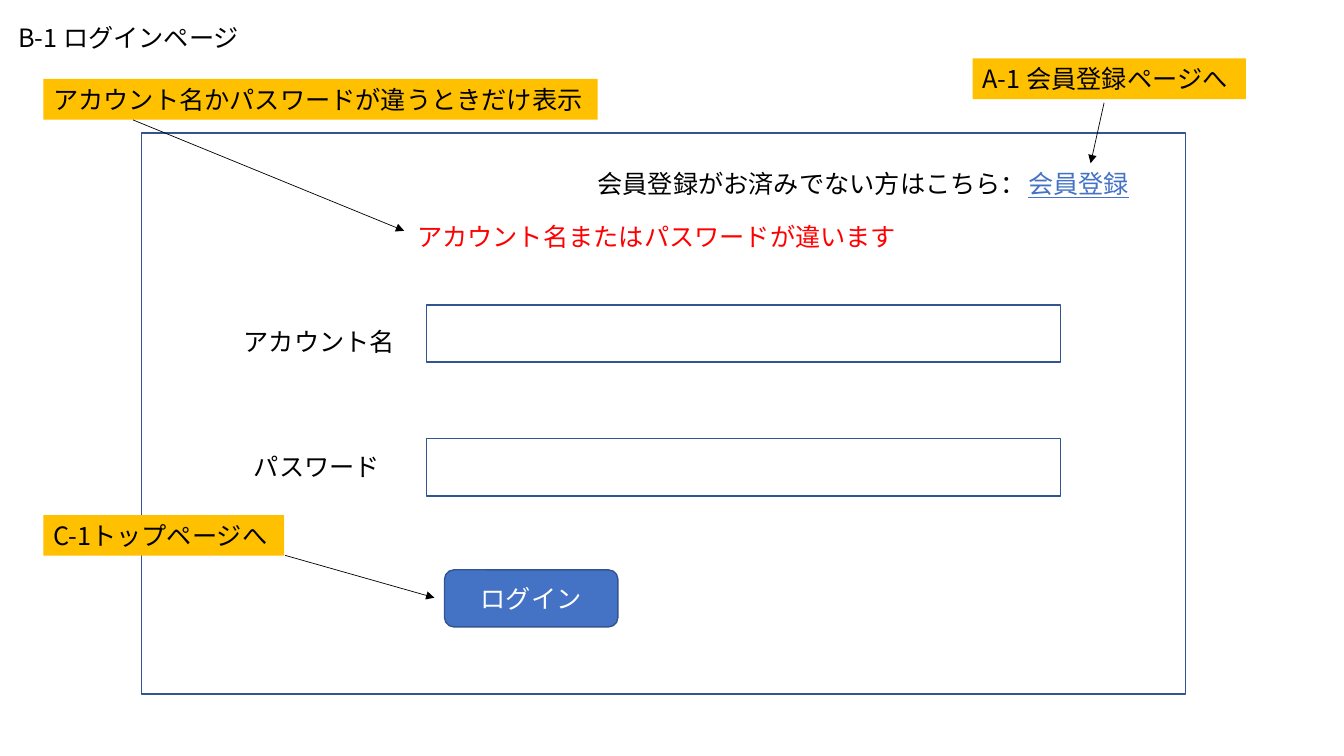
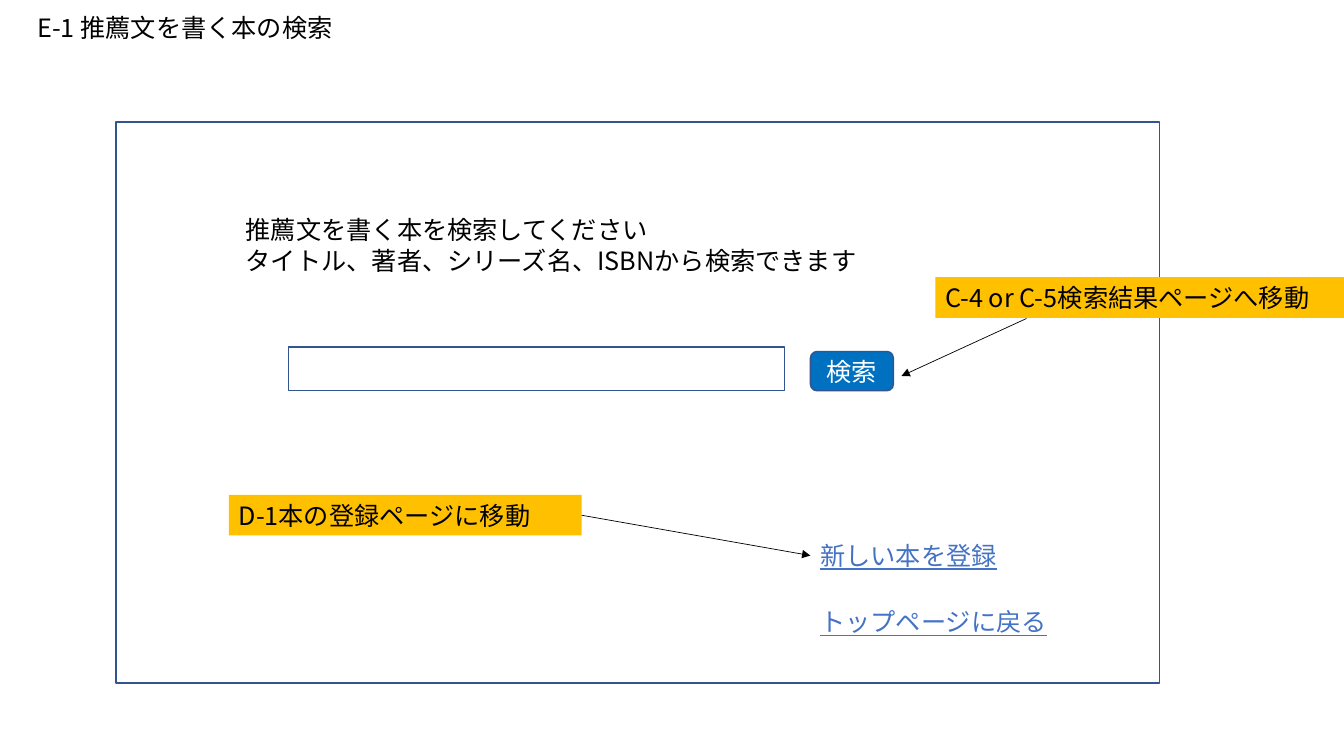
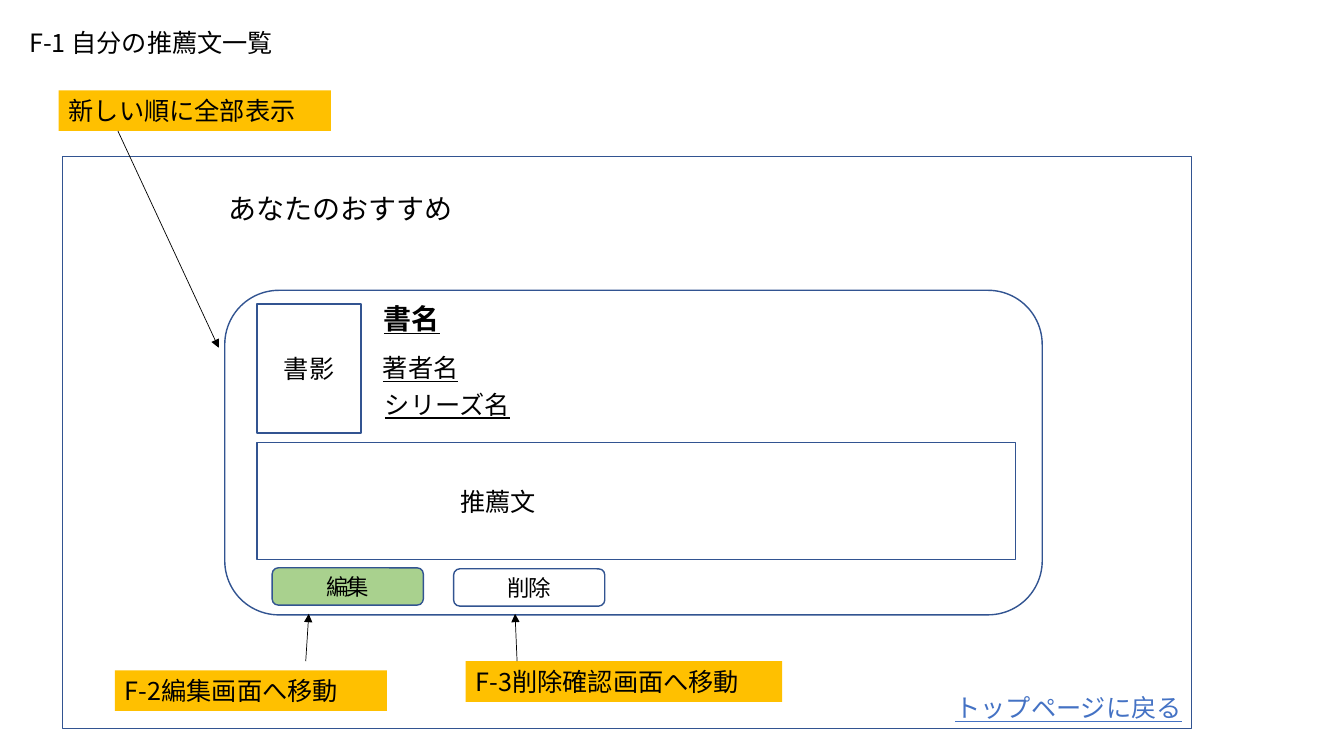
"""Build three annotated wireframe pages for a book recommendation site."""
from dataclasses import dataclass

import pptx
import pptx.dml.color
import pptx.enum.shapes
import pptx.enum.text
import pptx.oxml
import pptx.oxml.ns
import pptx.util

SHAPE = pptx.enum.shapes.MSO_SHAPE
ALIGN = pptx.enum.text.PP_ALIGN
ANCHOR = pptx.enum.text.MSO_ANCHOR
FIT = pptx.enum.text.MSO_AUTO_SIZE


@dataclass(frozen=True)
class Theme:
    """Colours, type sizes and grid shared by all pages."""
    font: str = "Noto Sans CJK JP"
    ink: str = "000000"
    paper: str = "FFFFFF"
    outline: str = "325491"
    accent: str = "4472C4"
    search: str = "0070C0"
    edit: str = "A9D18E"
    note: str = "FFC000"
    error: str = "FF0000"
    small: int = 16
    body: int = 18
    heading: int = 20
    width: float = 13.33
    height: float = 7.5
    columns: float = 40
    rows: float = 22.5
    line_rows: float = 1.21
    heading_rows: float = 1.31
    frame_line: float = 1
    arrow_line: float = 0.5


THEME = Theme()


def across(columns):
    """Turn grid columns into a length."""
    return pptx.util.Inches(THEME.width * columns / THEME.columns)


def down(rows):
    """Turn grid rows into a length."""
    return pptx.util.Inches(THEME.height * rows / THEME.rows)


def place(left, top, width, height):
    """Turn a grid cell range into slide lengths."""
    return across(left), down(top), across(width), down(height)


def rgb(value):
    """Turn a hex string into a colour."""
    return pptx.dml.color.RGBColor.from_string(value)


def apply(target, values):
    """Set each named attribute on the target."""
    for name, value in values.items():
        setattr(target, name, value)


def write(box, text, size=THEME.body, color=THEME.ink, bold=False, underline=False,
          spacing=None, wrap=False, centred=False):
    """Write the lines of text into a box with one format."""
    frame = box.text_frame
    apply(frame, {
        "word_wrap": wrap or centred,
        "auto_size": FIT.NONE if centred else FIT.SHAPE_TO_FIT_TEXT,
        "vertical_anchor": ANCHOR.MIDDLE if centred else ANCHOR.TOP,
    })
    frame.text = text
    for para in frame.paragraphs:
        para.alignment = ALIGN.CENTER if centred else ALIGN.LEFT
        for span in para.runs:
            apply(span.font, {"name": THEME.font, "size": pptx.util.Pt(size),
                              "bold": bold, "underline": underline})
            span.font.color.rgb = rgb(color)
            properties = span.font._element
            east_asian = pptx.oxml.parse_xml(
                f'<a:ea {pptx.oxml.ns.nsdecls("a")} typeface="{THEME.font}"/>')
            properties.append(east_asian)
            if spacing is not None:
                properties.set("spc", str(round(spacing * 100)))


def add_page(deck, title, left, top, width):
    """Add a page whose title placeholder sits at the given grid place."""
    page = deck.slides.add_slide(deck.slide_layouts[5])
    box = page.shapes.title
    position = place(left, top, width, THEME.line_rows)
    apply(box, dict(zip(("left", "top", "width", "height"), position)))
    write(box, title)
    return page


def add_label(page, text, left, top, width, height=THEME.line_rows, **style):
    """Add plain text at a grid place."""
    box = page.shapes.add_textbox(*place(left, top, width, height))
    write(box, text, **style)
    return box


def add_link(page, text, left, top, width):
    """Add underlined text in the link colour."""
    return add_label(page, text, left, top, width, color=THEME.accent, underline=True)


def add_panel(page, left, top, width, height, fill=None, line=THEME.outline,
              kind=SHAPE.RECTANGLE):
    """Add an outlined or filled shape."""
    box = page.shapes.add_shape(kind, *place(left, top, width, height))
    box.shadow.inherit = False
    if fill:
        box.fill.solid()
        box.fill.fore_color.rgb = rgb(fill)
    else:
        box.fill.background()
    if line:
        box.line.color.rgb = rgb(line)
        box.line.width = pptx.util.Pt(THEME.frame_line)
    else:
        box.line.fill.background()
    return box


def add_button(page, text, left, top, width, height, fill=None, **style):
    """Add a rounded button with a centred caption."""
    box = add_panel(page, left, top, width, height, fill, kind=SHAPE.ROUNDED_RECTANGLE)
    write(box, text, centred=True, **style)


def add_note(page, text, left, top, width, wrap=True):
    """Add a highlighted annotation."""
    box = add_panel(page, left, top, width, THEME.line_rows, THEME.note, line=None)
    write(box, text, wrap=wrap)
    return box


def add_arrow(page, start, end):
    """Add a thin arrow between two grid points."""
    arrow = page.shapes.add_connector(
        pptx.enum.shapes.MSO_CONNECTOR.STRAIGHT,
        across(start[0]), down(start[1]), across(end[0]), down(end[1]))
    arrow.line.color.rgb = rgb(THEME.ink)
    arrow.line.width = pptx.util.Pt(THEME.arrow_line)
    namespace = pptx.oxml.ns.nsdecls("a")
    arrow.line._get_or_add_ln().append(
        pptx.oxml.parse_xml(f'<a:tailEnd {namespace} type="triangle"/>'))
    arrow._element.spPr.append(pptx.oxml.parse_xml(f"<a:effectLst {namespace}/>"))
    return arrow


def build_login(deck):
    """Build the login page."""
    page = add_page(deck, "B-1 ログインページ", 0.24, 0.51, 7.38)
    add_label(page, "アカウント名", 6.96, 9.57, 5.16)
    add_label(page, "パスワード", 7.26, 13.29, 4.38)
    for field in range(2):
        add_panel(page, 12.7, 9.08 + 3.98 * field, 18.87, 1.7, THEME.paper)
    add_label(page, "アカウント名またはパスワードが違います", 12.12, 6.45, 15,
              color=THEME.error)
    add_button(page, "ログイン", 13.23, 16.96, 5.16, 1.7, THEME.accent, color=THEME.paper)
    add_panel(page, 4.22, 3.96, 31.06, 16.7)
    add_note(page, "アカウント名かパスワードが違うときだけ表示", 1.29, 2.35, 16.5, wrap=False)
    add_arrow(page, (3.96, 3.57), (12.03, 6.87))
    add_label(page, "会員登録がお済みでない方はこちら：", 17.49, 4.86, 13.47)
    add_link(page, "会員登録", 30.3, 4.86, 3.63)
    add_note(page, "A-1 会員登録ページへ", 28.95, 1.74, 8.13, wrap=False)
    add_arrow(page, (32.86, 3.06), (32.46, 4.86))
    add_note(page, "C-1トップページへ", 1.29, 15.33, 7.17, wrap=False)
    add_arrow(page, (8.49, 16.53), (12.93, 17.79))


def build_search(deck):
    """Build the book search page."""
    page = add_page(deck, "E-1 推薦文を書く本の検索", 0.81, 0.23, 9.6)
    add_panel(page, 8.58, 10.33, 14.77, 1.29)
    add_button(page, "検索", 24.12, 10.46, 2.47, 1.17, THEME.search, color=THEME.paper)
    add_label(page, "推薦文を書く本を検索してください\n"
              "タイトル、著者、シリーズ名、ISBNから検索できます",
              7.02, 6.24, 19.05, 2.13, wrap=True)
    add_link(page, "トップページに戻る", 24.12, 17.91, 7.41)
    register = add_link(page, "新しい本を登録", 24.12, 15.93, 5.91)
    add_panel(page, 3.45, 3.63, 31.06, 16.7)
    add_note(page, "C-4 or C-5検索結果ページへ移動", 27.84, 8.25, 12.18)
    add_arrow(page, (30.55, 9.48), (26.83, 11.19))
    note = add_note(page, "D-1本の登録ページに移動", 6.81, 14.73, 10.5)
    arrow = add_arrow(page, (17.31, 15.33), (24.12, 16.55))
    arrow.begin_connect(note, 3)
    arrow.end_connect(register, 1)


def build_list(deck):
    """Build the page that lists one's own recommendations."""
    page = add_page(deck, "F-1 自分の推薦文一覧", 0.57, 0.67, 8.1)
    add_label(page, "あなたのおすすめ", 6.51, 5.55, 7.35, THEME.heading_rows,
              size=THEME.heading)
    add_panel(page, 6.69, 8.64, 24.33, 9.66, kind=SHAPE.ROUNDED_RECTANGLE)
    cover = add_panel(page, 7.65, 9.05, 3.1, 3.84)
    write(cover, "書影", centred=True)
    add_label(page, "書名", 11.13, 8.82, 2.28, THEME.heading_rows, size=THEME.heading,
              bold=True, underline=True, wrap=True)
    add_panel(page, 7.65, 13.17, 22.57, 3.48)
    add_label(page, "推薦文", 13.41, 14.34, 2.88, wrap=True)
    add_label(page, "著者名", 11.1, 10.35, 2.88, underline=True)
    add_label(page, "シリーズ名", 11.16, 11.43, 4.38, underline=True)
    for index, (caption, fill) in enumerate((("編集", THEME.edit), ("削除", None))):
        add_button(page, caption, 8.1 + 5.4 * index, 16.9 + 0.03 * index, 4.5, 1.11,
                   fill, size=THEME.small, spacing=-1.5)
    add_panel(page, 1.86, 4.65, 33.6, 17.04)
    add_note(page, "新しい順に全部表示", 1.75, 2.69, 8.1)
    add_note(page, "F-2編集画面へ移動", 3.42, 19.95, 8.1)
    add_note(page, "F-3削除確認画面へ移動", 13.86, 19.68, 9.42)
    for start, end in (((3.51, 3.9), (6.51, 10.35)),
                       ((9.1, 19.68), (9.19, 18.27)),
                       ((15.39, 19.68), (15.33, 18.27))):
        add_arrow(page, start, end)
    add_link(page, "トップページに戻る", 28.14, 20.46, 7.41)


def main():
    """Build and save the deck."""
    deck = pptx.Presentation()
    apply(deck, {"slide_width": pptx.util.Inches(THEME.width),
                 "slide_height": pptx.util.Inches(THEME.height)})
    for build in (build_login, build_search, build_list):
        build(deck)
    deck.save("out.pptx")


if __name__ == "__main__":
    main()
